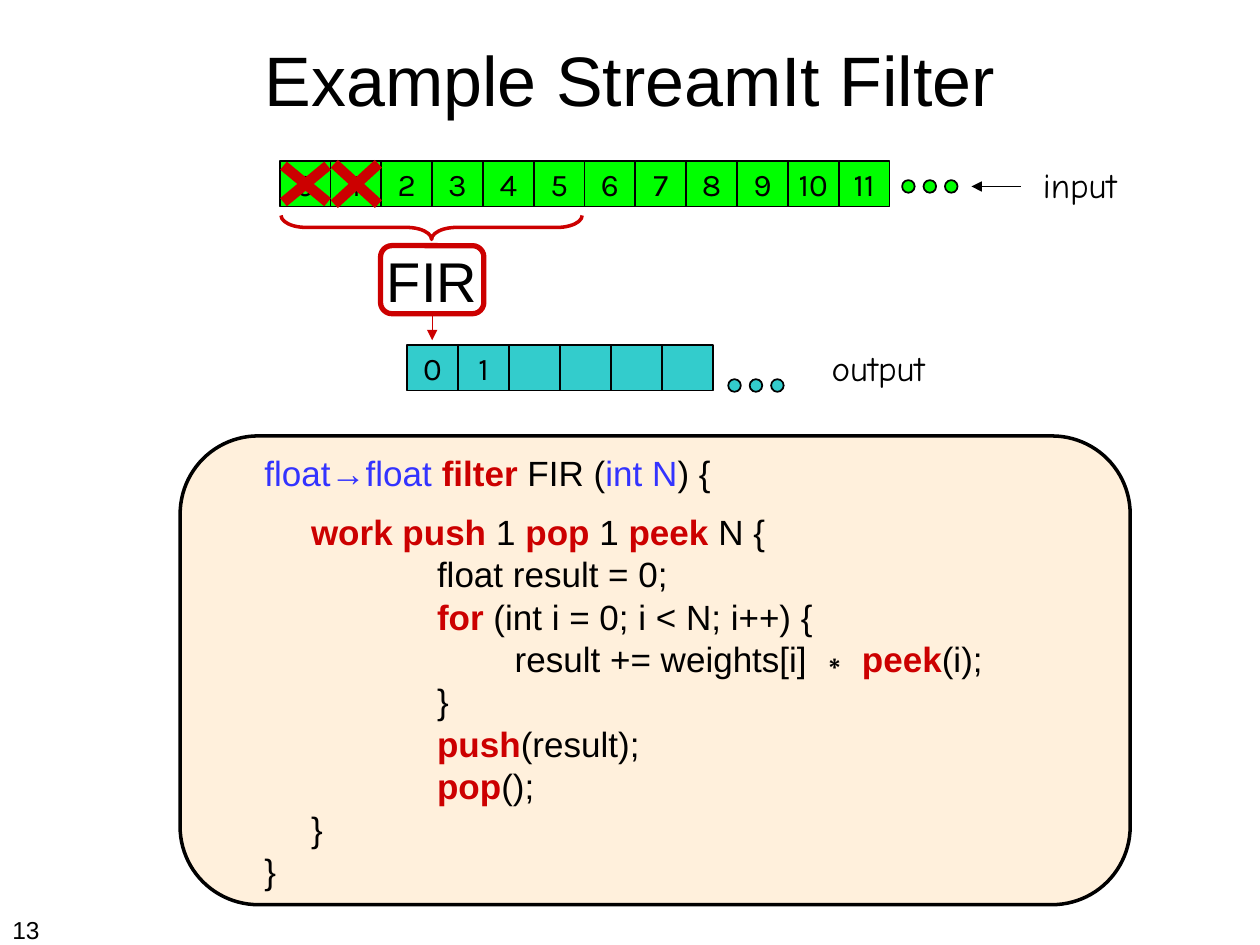
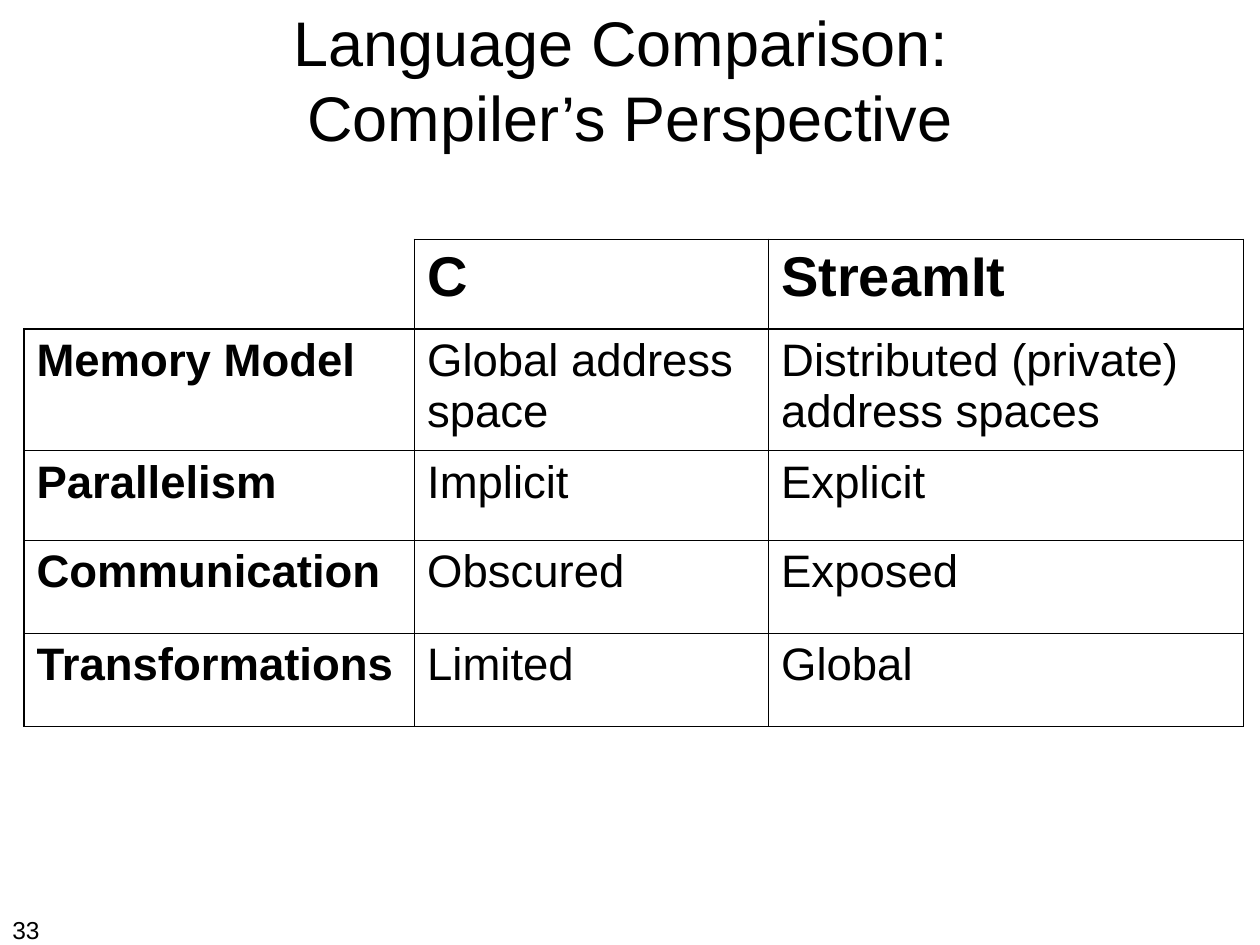
"""Build two slides: a stream filter diagram with code, and a language comparison table."""
from dataclasses import dataclass

from lxml import etree
from pptx import Presentation
from pptx.dml.color import RGBColor
from pptx.enum.shapes import MSO_CONNECTOR, MSO_SHAPE
from pptx.enum.text import MSO_ANCHOR, PP_ALIGN
from pptx.oxml.ns import qn
from pptx.util import Inches, Pt

RECT, ROUND, OVAL = MSO_SHAPE.RECTANGLE, MSO_SHAPE.ROUNDED_RECTANGLE, MSO_SHAPE.OVAL
BOX, BRACE = MSO_SHAPE.FLOWCHART_ALTERNATE_PROCESS, MSO_SHAPE.RIGHT_BRACE
LINE = MSO_CONNECTOR.STRAIGHT
LEFT, CENTER = PP_ALIGN.LEFT, PP_ALIGN.CENTER
TOP, MIDDLE = MSO_ANCHOR.TOP, MSO_ANCHOR.MIDDLE


@dataclass(frozen=True)
class Theme:
    """Colours, fonts and type sizes."""
    ink: str = "000000"
    red: str = "CC0000"
    blue: str = "3333FF"
    lime: str = "00FF00"
    teal: str = "33CCCC"
    cream: str = "FFF0DC"
    sans: str = "Arial"
    hand: str = "Comic Neue"
    digit: str = "Karla"
    title: int = 40
    small: int = 36
    head: int = 32
    body: int = 26
    code: int = 20
    cell: int = 18
    foot: int = 14
    thick: float = 1.08
    thin: float = 0.45


T = Theme()
WIDE, HIGH = 10, 7.5

FIRST = {"title": ["Example StreamIt Filter"], "size": T.title, "page": "13"}
SECOND = {"title": ["Language Comparison: ", "Compiler’s Perspective"],
          "size": T.small, "page": "33"}

TAPES = [
    {"left": 2.22, "top": 1.28, "span": 4.84, "fill": T.lime,
     "cells": [str(n) for n in range(12)], "dots": (7.16, 1.43),
     "label": "input", "at": (8.07, 1.25, 1, 0.44)},
    {"left": 3.23, "top": 2.74, "span": 2.43, "fill": T.teal,
     "cells": ["0", "1", "", "", "", ""], "dots": (5.78, 3.01),
     "label": "output", "at": (6.47, 2.7, 1, 0.44)},
]
TALL = 0.36
DOT, STEP = 0.1, 0.17
CROSS = [0.29, 0.32]

PLAIN, KEY, TYPE = (T.ink, False), (T.red, True), (T.blue, False)
CODE = [
    [("float→float ", TYPE), ("filter", KEY), (" FIR (", PLAIN),
     ("int N", TYPE), (") {", PLAIN)],
    [("\t", PLAIN), ("work push ", KEY), ("1", PLAIN), (" pop ", KEY),
     ("1", PLAIN), (" peek ", KEY), ("N {", PLAIN)],
    [("\t\tfloat result = 0;", PLAIN)],
    [("\t\t", PLAIN), ("for", KEY), (" (int i = 0; i < N; i++) {", PLAIN)],
    [("\t\t        result += weights[i] ∗ ", PLAIN), ("peek", KEY), ("(i);", PLAIN)],
    [("\t\t}", PLAIN)],
    [("\t\t", PLAIN), ("push", KEY), ("(result);", PLAIN)],
    [("\t\t", PLAIN), ("pop", KEY), ("();", PLAIN)],
    [("\t}", PLAIN)],
    [("}", PLAIN)],
]
GAPS = {0: 0, 1: 14.4}
GAP = 5
HANG, TAB = 0.37, 1

ROWS = [
    ["", "C", "StreamIt"],
    ["Memory Model", "Global address space", "Distributed (private) address spaces"],
    ["Parallelism", "Implicit", "Explicit"],
    ["Communication", "Obscured", "Exposed"],
    ["Transformations", "Limited", "Global"],
]
COLS = [3.1, 2.81, 3.77]
DEEP = [0.71, 0.96, 0.71, 0.74, 0.74]
ACROSS = [T.thick, T.thick, T.thin, T.thin, T.thin, T.thick]
DOWN = [T.thick, T.thick, T.thin, T.thick]


def inch(*vals):
    return [Inches(v) for v in vals]


def rgb(code):
    return RGBColor.from_string(code)


def add_run(para, words, size, font=T.sans, color=T.ink, bold=False):
    run = para.add_run()
    run.text = words
    run.font.size, run.font.name, run.font.bold = Pt(size), font, bold
    run.font.color.rgb = rgb(color)


def set_text(shape, words, size, font=T.sans, align=CENTER, anchor=MIDDLE, wrap=False):
    frame = shape.text_frame
    frame.word_wrap, frame.vertical_anchor = wrap, anchor
    para = frame.paragraphs[0]
    para.alignment = align
    for i, line in enumerate(words):
        if i:
            para.add_line_break()
        add_run(para, line, size, font)


def add_box(slide, kind, at, fill=None, line=T.ink, width=1):
    shape = slide.shapes.add_shape(kind, *inch(*at))
    shape.shadow.inherit = False
    if fill:
        shape.fill.solid()
        shape.fill.fore_color.rgb = rgb(fill)
    else:
        shape.fill.background()
    shape.line.color.rgb = rgb(line)
    shape.line.width = Pt(width)
    return shape


def add_label(slide, at, words, size, **style):
    set_text(slide.shapes.add_textbox(*inch(*at)), words, size, **style)


def add_line(slide, ends, color, width, arrow=False):
    link = slide.shapes.add_connector(LINE, *inch(*ends))
    link.line.color.rgb = rgb(color)
    link.line.width = Pt(width)
    if arrow:
        etree.SubElement(link.line._get_or_add_ln(), qn("a:tailEnd"), type="triangle")
    etree.SubElement(link._element.spPr, qn("a:effectLst"))


def add_page(deck, info):
    slide = deck.slides.add_slide(deck.slide_layouts[6])
    add_label(slide, (0.5, 0, WIDE - 1, 1.25), info["title"], info["size"], wrap=True)
    add_label(slide, (0, HIGH - 0.29, 0.47, 0.29), [info["page"]], T.foot,
              align=LEFT, anchor=TOP, wrap=True)
    return slide


def add_tape(slide, tape):
    pitch = tape["span"] / len(tape["cells"])
    for i, word in enumerate(tape["cells"]):
        at = (tape["left"] + i * pitch, tape["top"], pitch, TALL)
        cell = add_box(slide, RECT, at, tape["fill"])
        if word:
            set_text(cell, [word], T.cell, T.digit)
    x, y = tape["dots"]
    for i in range(3):
        add_box(slide, OVAL, (x + i * STEP, y, DOT, DOT), tape["fill"])
    add_label(slide, tape["at"], [tape["label"]], T.code, font=T.hand, anchor=TOP)


def add_crosses(slide, tape):
    pitch = tape["span"] / len(tape["cells"])
    mid = tape["top"] + TALL / 2
    for i, tall in enumerate(CROSS):
        x = tape["left"] + i * pitch + 0.03
        low, high = mid - tall / 2, mid + tall / 2
        add_line(slide, (x, low, x + 0.35, high), T.red, 6)
        add_line(slide, (x + 0.35, low, x, high), T.red, 6)


def add_filter(slide):
    box = add_box(slide, BOX, (3.02, 1.95, 0.82, 0.54), None, T.red, 3)
    set_text(box, ["FIR"], T.head)
    brace = add_box(slide, BRACE, (3.33, 0.61, 0.19, 2.39), None, T.red, 2)
    brace.rotation = 90
    brace.adjustments[0] = 1.05
    add_line(slide, (3.43, 2.51, 3.43, 2.7), T.red, 0.75, True)
    add_line(slide, (8.1, 1.48, 7.71, 1.48), T.ink, 1, True)


def add_code(slide):
    add_box(slide, ROUND, (1.43, 3.46, 7.54, 3.72), T.cream, width=2)
    frame = slide.shapes.add_textbox(*inch(2, 3.6, 6.41, 3.56)).text_frame
    frame.word_wrap = True
    for i, line in enumerate(CODE):
        para = frame.add_paragraph() if i else frame.paragraphs[0]
        props = para._p.get_or_add_pPr()
        props.set("marL", str(Inches(HANG)))
        props.set("indent", str(-Inches(HANG)))
        props.set("defTabSz", str(Inches(TAB)))
        para.line_spacing = 0.8
        para.space_before = Pt(GAPS.get(i, GAP))
        for words, (color, bold) in line:
            add_run(para, words, T.code, color=color, bold=bold)


def set_edges(cell, widths):
    props = cell._tc.get_or_add_tcPr()
    for side, width in zip("LRTB", widths):
        edge = etree.SubElement(props, qn(f"a:ln{side}"), w=str(Pt(width)))
        if width:
            fill = etree.SubElement(edge, qn("a:solidFill"))
            etree.SubElement(fill, qn("a:srgbClr"), val=T.ink)
        else:
            etree.SubElement(edge, qn("a:noFill"))


def add_grid(slide):
    at = inch(0.19, 1.9, sum(COLS), sum(DEEP))
    grid = slide.shapes.add_table(len(ROWS), len(COLS), *at).table
    grid.first_row = grid.horz_banding = False
    for col, wide in zip(grid.columns, COLS):
        col.width = Inches(wide)
    for r, row in enumerate(ROWS):
        grid.rows[r].height = Inches(DEEP[r])
        for c, word in enumerate(row):
            cell = grid.cell(r, c)
            bare = r == c == 0
            set_edges(cell, (0 if bare else DOWN[c], DOWN[c + 1],
                             0 if bare else ACROSS[r], ACROSS[r + 1]))
            cell.fill.background()
            if word:
                add_run(cell.text_frame.paragraphs[0], word,
                        T.body if r else T.head, bold=r == 0 or c == 0)


def main():
    deck = Presentation()
    deck.slide_width, deck.slide_height = inch(WIDE, HIGH)
    slide = add_page(deck, FIRST)
    for tape in TAPES:
        add_tape(slide, tape)
    add_crosses(slide, TAPES[0])
    add_filter(slide)
    add_code(slide)
    add_grid(add_page(deck, SECOND))
    deck.save("out.pptx")


if __name__ == "__main__":
    main()
